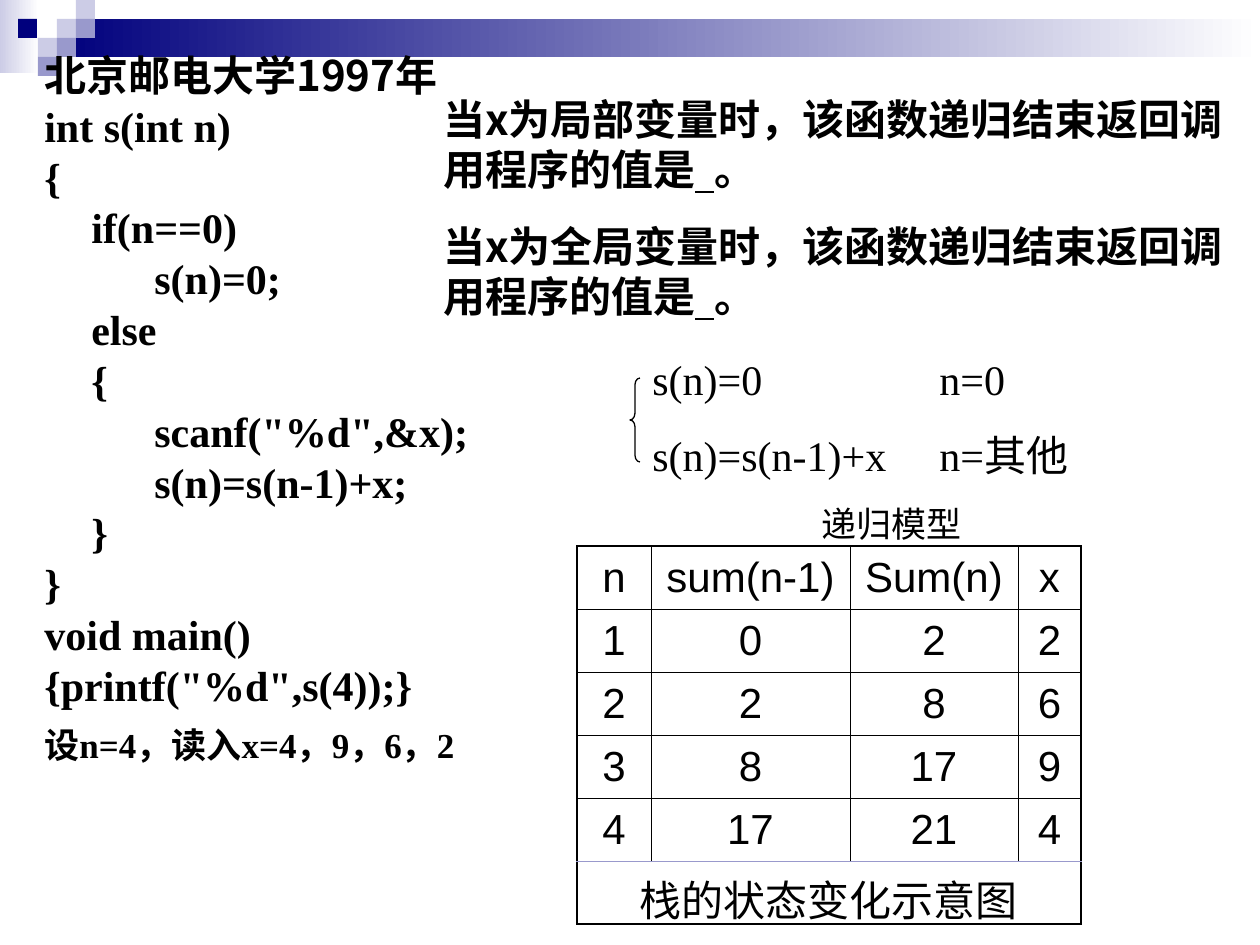
from lxml import etree
from pptx import Presentation
from pptx.dml.color import RGBColor
from pptx.enum import shapes, text
from pptx.oxml.ns import qn
from pptx.util import Emu, Pt

SANS, SERIF, ARIAL = "Noto Sans CJK SC", "Times New Roman", "Arial"
BLACK, WHITE, NAVY, LILAC, PALE = "000000", "FFFFFF", "00007D", "9999CC", "CCCCE6"
INCH = 126

BANDS = [((0, 0, 39, 73), PALE), ((57, 19, 1203, 38), NAVY)]
TILE = 19
TILES = [(57, 19, PALE), (76, 0, PALE), (76, 19, LILAC), (38, 38, PALE),
         (18, 19, NAVY), (57, 38, LILAC), (38, 57, LILAC)]

TITLE = "北京邮电大学1997年"
CODE = [
    "int s(int n)",
    "{",
    "\tif(n==0)",
    "\t\ts(n)=0;",
    "\telse",
    "\t{",
    '\t\tscanf("%d",&x);',
    "\t\ts(n)=s(n-1)+x;",
    "\t}",
    "}",
    "void main()",
    '{printf("%d",s(4));}',
]
GIVEN = "设n=4，读入x=4，9，6，2"
QUESTIONS = [f"当x为{scope}变量时，该函数递归结束返回调用程序的值是" for scope in ("局部", "全局")]
MODEL = ["s(n)=0\tn=0", "s(n)=s(n-1)+x\tn=其他"]
MODEL_CAPTION = "递归模型"
STACK = [
    ["n", "sum(n-1)", "Sum(n)", "x"],
    ["1", "0", "2", "2"],
    ["2", "2", "8", "6"],
    ["3", "8", "17", "9"],
    ["4", "17", "21", "4"],
]
STACK_CAPTION = "栈的状态变化示意图"
STACK_COLUMNS = [74, 199, 168, 63]
STACK_ROW = 63


def px(value):
    return Emu(round(value * 914400 / INCH))


def rgb(value):
    return RGBColor.from_string(value)


def block(slide, box, color, fade=False):
    rect = slide.shapes.add_shape(shapes.MSO_SHAPE.RECTANGLE, *map(px, box))
    rect.shadow.inherit = False
    rect.line.fill.background()
    if fade:
        rect.fill.gradient()
        rect.fill.gradient_angle = 0
        for stop, shade in zip(rect.fill.gradient_stops, (color, WHITE)):
            stop.color.rgb = rgb(shade)
    else:
        rect.fill.solid()
        rect.fill.fore_color.rgb = rgb(color)


def text_frame(slide, box):
    frame = slide.shapes.add_textbox(*map(px, box)).text_frame
    frame.word_wrap = True
    return frame


def paragraph(frame, before=0, tabs=(), hang=0):
    first = not frame.paragraphs[0].runs
    para = frame.paragraphs[0] if first else frame.add_paragraph()
    props = para._p.get_or_add_pPr()
    if hang:
        props.set("marL", str(px(hang)))
        props.set("indent", str(-px(hang)))
    if tabs:
        stops = etree.SubElement(props, qn("a:tabLst"))
        for stop in tabs:
            etree.SubElement(stops, qn("a:tab"), pos=str(px(stop)), algn="l")
    if before and not first:
        para.space_before = Pt(before)
    return para


def write(para, words, face, size=24, bold=False, underline=False):
    run = para.add_run()
    run.text = words
    font = run.font
    font.name, font.size, font.bold = face, Pt(size), bold
    font.color.rgb = rgb(BLACK)
    if underline:
        font.underline = True
    east = etree.Element(qn("a:ea"), typeface=SANS)
    font._element.find(qn("a:latin")).addnext(east)


def border(cell, sides):
    props = cell._tc.get_or_add_tcPr()
    for index, side in enumerate("LRTB"):
        color, width = sides[side]
        line = etree.Element(qn(f"a:ln{side}"), w=str(Pt(width)))
        fill = etree.SubElement(line, qn("a:solidFill"))
        etree.SubElement(fill, qn("a:srgbClr"), val=color)
        props.insert(index, line)


def add_code(slide):
    frame = text_frame(slide, (32, 53, 452, 829))
    lines = [(TITLE, SANS, 24, 0)]
    lines += [(line, SERIF, 24, 6) for line in CODE]
    lines += [(GIVEN, SERIF, 20, 12.5)]
    for words, face, size, before in lines:
        para = paragraph(frame, before, [INCH * n for n in range(8)], hang=47)
        para.line_spacing = 0.8
        write(para, words, face, size, bold=True)


def add_questions(slide):
    frame = text_frame(slide, (431, 87, 829, 241))
    for question in QUESTIONS:
        para = paragraph(frame, 15)
        write(para, question, SANS, bold=True)
        write(para, "  ", SANS, bold=True, underline=True)
        write(para, "。", SANS, bold=True)


def add_model(slide):
    frame = text_frame(slide, (640, 347, 504, 204))
    for formula in MODEL:
        write(paragraph(frame, 15, [287]), formula, SERIF)
    caption = paragraph(frame, 12.5)
    caption.alignment = text.PP_ALIGN.CENTER
    write(caption, MODEL_CAPTION, SERIF, 20)
    brace = slide.shapes.add_shape(shapes.MSO_SHAPE.LEFT_BRACE, *map(px, (630, 378, 10, 84)))
    brace.shadow.inherit = False
    brace.adjustments[0] = 0.67
    brace.fill.background()
    brace.line.color.rgb = rgb(BLACK)
    brace.line.width = Pt(0.75)


def add_stack(slide):
    rows = STACK + [[STACK_CAPTION, "", "", ""]]
    last_row, last_column = len(rows) - 1, len(STACK_COLUMNS) - 1
    table = slide.shapes.add_table(
        len(rows), len(STACK_COLUMNS), px(577), px(546),
        px(sum(STACK_COLUMNS)), px(STACK_ROW * len(rows))).table
    table.first_row = table.horz_banding = False
    for column, width in zip(table.columns, STACK_COLUMNS):
        column.width = px(width)
    table.cell(last_row, 0).merge(table.cell(last_row, last_column))
    edge, inner, divider = (BLACK, 1.08), (BLACK, 0.45), (LILAC, 0.45)
    for r, row in enumerate(rows):
        table.rows[r].height = px(STACK_ROW)
        for c, words in enumerate(row):
            cell = table.cell(r, c)
            cell.fill.background()
            cell.vertical_anchor = text.MSO_ANCHOR.MIDDLE
            border(cell, {
                "L": edge if c == 0 else inner,
                "R": edge if c == last_column or r == last_row else inner,
                "T": edge if r == 0 else divider if r == last_row else inner,
                "B": edge if r == last_row else divider if r == last_row - 1 else inner,
            })
            if words:
                para = paragraph(cell.text_frame)
                para.alignment = text.PP_ALIGN.CENTER
                write(para, words, ARIAL)


def main():
    deck = Presentation()
    deck.slide_width, deck.slide_height = px(1260), px(945)
    slide = deck.slides.add_slide(deck.slide_layouts[6])
    for box, color in BANDS:
        block(slide, box, color, fade=True)
    for left, top, color in TILES:
        block(slide, (left, top, TILE, TILE), color)
    add_code(slide)
    add_stack(slide)
    add_questions(slide)
    add_model(slide)
    deck.save("out.pptx")


if __name__ == "__main__":
    main()
